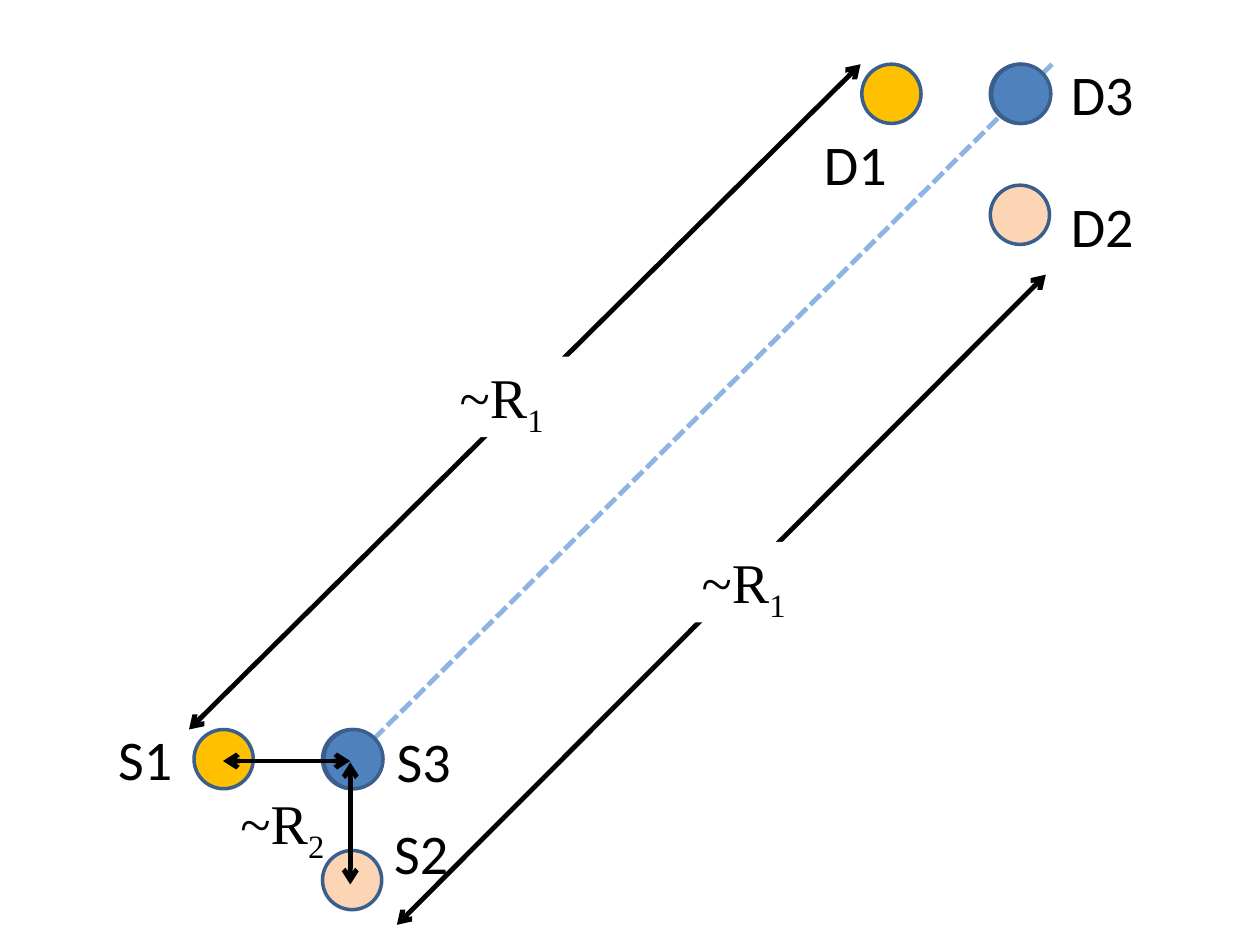
"""Draw source and destination clusters with their separations R1 and R2."""
from dataclasses import dataclass

from lxml.etree import SubElement
from pptx import Presentation
from pptx.dml.color import RGBColor
from pptx.enum.dml import MSO_LINE
from pptx.enum.shapes import MSO_CONNECTOR, MSO_SHAPE
from pptx.enum.text import MSO_ANCHOR, MSO_AUTO_SIZE, PP_ALIGN
from pptx.oxml.ns import qn
from pptx.slide import Slide
from pptx.text.text import TextFrame
from pptx.util import Inches, Pt

COLUMNS, ROWS = 10, 7.5
WIDTH, HEIGHT = Inches(10), Inches(7.5)
COLORS = {
    "text": "000000", "paper": "FFFFFF", "outline": "3A5F8C", "axis": "8EB4E3",
    "blue": "4F81BD", "peach": "FCD5B5", "gold": "FFC000",
}
DOT_SIZE = 0.47
LABEL_HEIGHT = 0.64
NODE_OFFSETS = ((1.02, 0, "blue"), (1.03, 0, "blue"), (1.02, 0.96, "peach"), (0, 0, "gold"))


@dataclass(frozen=True)
class Label:
    text: str
    column: float
    row: float


@dataclass(frozen=True)
class Cluster:
    column: float
    row: float
    labels: tuple[Label, ...]


@dataclass(frozen=True)
class Link:
    start: tuple[float, float]
    end: tuple[float, float]
    color: str = "text"
    is_axis: bool = False


AXIS = Link((2.64, 6.19), (8.35, 0.51), "axis", True)
DESTINATIONS = Cluster(6.84, 0.51, (
    Label("D1", 6.44, 0.98), Label("D2", 8.4, 1.47), Label("D3", 8.4, 0.42)))
SOURCES = Cluster(1.54, 5.79, (
    Label("S1", 0.84, 5.7), Label("S2", 3.03, 6.45), Label("S3", 3.05, 5.72)))
ARROWS = (
    Link((1.5, 5.79), (6.83, 0.51)),
    Link((1.77, 6.04), (2.78, 6.04)),
    Link((3.15, 7.34), (8.3, 2.18)),
    Link((2.78, 6.05), (2.78, 7.02)),
)
NEAR_DISTANCE = Label("2", 1.81, 6.21)
FAR_DISTANCES = (Label("1", 3.55, 2.83), Label("1", 5.47, 4.3))


def across(columns: float) -> int:
    return round(WIDTH * columns / COLUMNS)


def down(rows: float) -> int:
    return round(HEIGHT * rows / ROWS)


def color(name: str) -> RGBColor:
    return RGBColor.from_string(COLORS[name])


def format_text(frame: TextFrame, font_name: str) -> None:
    frame.word_wrap = True
    frame.auto_size = MSO_AUTO_SIZE.SHAPE_TO_FIT_TEXT
    frame.vertical_anchor = MSO_ANCHOR.TOP
    para = frame.paragraphs[0]
    para.alignment = PP_ALIGN.LEFT
    for span in para.runs:
        span.font.name = font_name
        span.font.size = Pt(32)
        span.font.color.rgb = color("text")


def draw_dot(page: Slide, column: float, row: float, fill: str) -> None:
    dot = page.shapes.add_shape(
        MSO_SHAPE.OVAL, across(column), down(row), across(DOT_SIZE), down(DOT_SIZE))
    dot.shadow.inherit = False
    dot.fill.solid()
    dot.fill.fore_color.rgb = color(fill)
    dot.line.color.rgb = color("outline")
    dot.line.width = Pt(2)


def draw_cluster(page: Slide, cluster: Cluster) -> None:
    for column, row, fill in NODE_OFFSETS:
        draw_dot(page, cluster.column + column, cluster.row + row, fill)
    for label in cluster.labels:
        box = page.shapes.add_textbox(
            across(label.column), down(label.row), across(0.93), down(LABEL_HEIGHT))
        box.text_frame.text = label.text
        format_text(box.text_frame, "Calibri")


def draw_distance(page: Slide, label: Label) -> None:
    box = page.shapes.add_shape(
        MSO_SHAPE.RECTANGLE, across(label.column), down(label.row),
        across(1.24), down(LABEL_HEIGHT))
    box.shadow.inherit = False
    box.fill.solid()
    box.fill.fore_color.rgb = color("paper")
    box.line.fill.background()
    box.text_frame.text = "~R"
    subscript = box.text_frame.paragraphs[0].add_run()
    subscript.text = label.text
    format_text(box.text_frame, "Times New Roman")
    subscript.font._element.set("baseline", "-25000")


def draw_link(page: Slide, link: Link) -> None:
    connector = page.shapes.add_connector(
        MSO_CONNECTOR.STRAIGHT, across(link.start[0]), down(link.start[1]),
        across(link.end[0]), down(link.end[1]))
    connector.line.color.rgb = color(link.color)
    connector.line.width = Pt(2.75)
    if link.is_axis:
        connector.line.dash_style = MSO_LINE.SQUARE_DOT
    else:
        outline = connector.line._get_or_add_ln()
        for end in ("a:headEnd", "a:tailEnd"):
            SubElement(outline, qn(end), type="arrow")
    SubElement(connector._element.spPr, qn("a:effectLst"))


def main() -> None:
    deck = Presentation()
    deck.slide_width, deck.slide_height = WIDTH, HEIGHT
    page = deck.slides.add_slide(deck.slide_layouts[6])
    draw_distance(page, NEAR_DISTANCE)
    draw_link(page, AXIS)
    for cluster in (DESTINATIONS, SOURCES):
        draw_cluster(page, cluster)
    for arrow in ARROWS:
        draw_link(page, arrow)
    for label in FAR_DISTANCES:
        draw_distance(page, label)
    deck.save("out.pptx")


if __name__ == "__main__":
    main()
